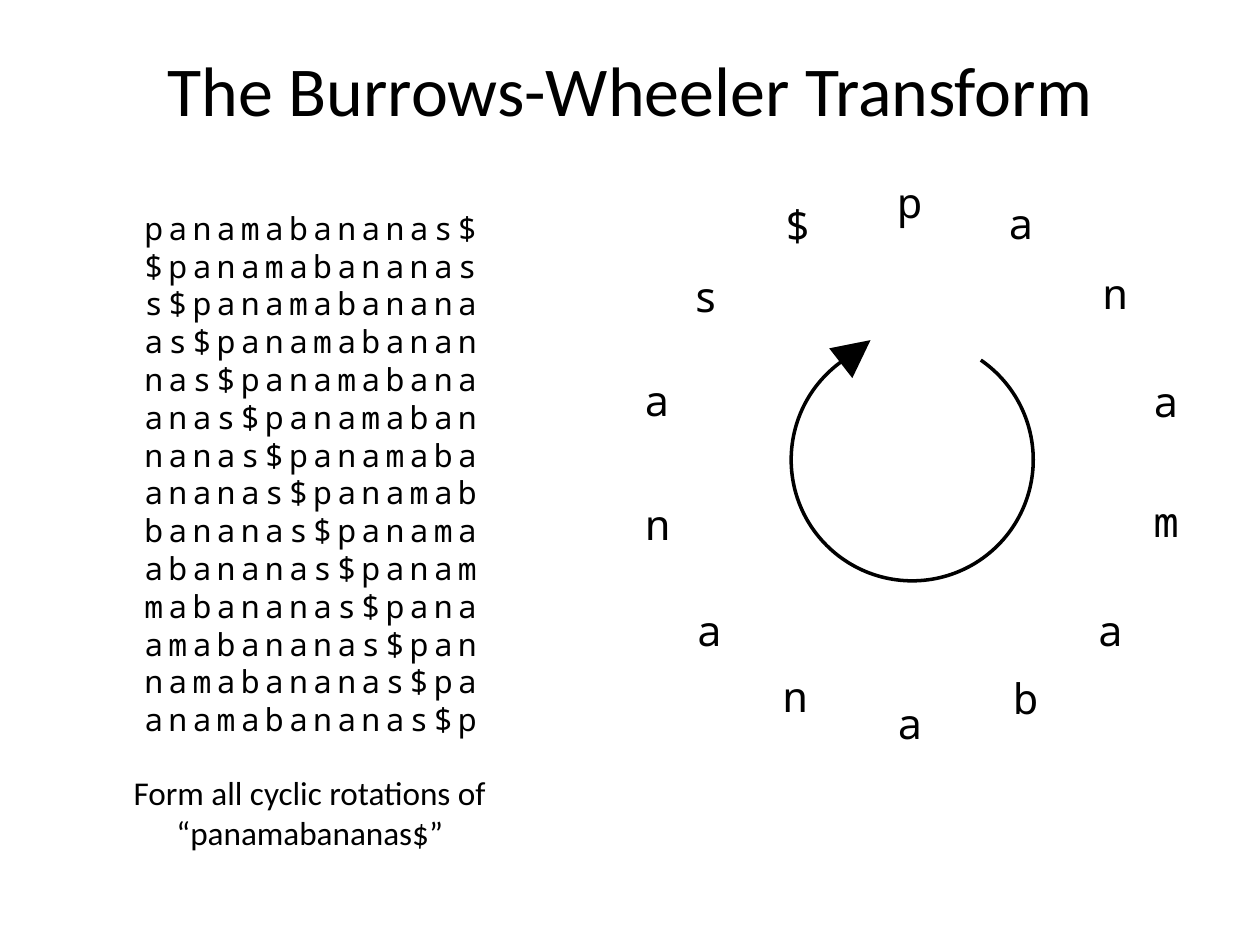
from pptx import Presentation
from pptx.dml.color import RGBColor
from pptx.enum.shapes import MSO_SHAPE
from pptx.enum.text import MSO_ANCHOR, MSO_AUTO_SIZE, PP_ALIGN
from pptx.util import Cm, Pt

COLORS = {"ink": "000000"}
HEADING_FONT, MONO_FONT = "Calibri", "Noto Sans Mono"
WORD = "panamabananas$"

# Left and top of each letter box, clockwise from the first letter
RING = [
    (17.83, 3.43), (20.07, 3.86), (21.97, 5.26), (22.99, 7.44), (23.0, 9.86),
    (21.87, 12.07), (20.17, 13.44), (17.83, 13.94), (15.52, 13.39),
    (13.79, 12.07), (12.75, 9.93), (12.73, 7.42), (13.72, 5.33), (15.57, 3.89),
]


class SlideBuilder:
    def __init__(self, slide):
        self.slide = slide
        self.ink = RGBColor.from_string(COLORS["ink"])

    def text(self, lines, box, font, size, wrap=True, anchor=MSO_ANCHOR.TOP,
             pitch=None, tracking=0):
        """Centred lines; pitch is an exact line height, tracking is in points."""
        frame = self.slide.shapes.add_textbox(*map(Cm, box)).text_frame
        frame.word_wrap = wrap
        frame.auto_size = MSO_AUTO_SIZE.NONE
        frame.vertical_anchor = anchor
        frame.text = "\n".join(lines)
        for paragraph in frame.paragraphs:
            paragraph.alignment = PP_ALIGN.CENTER
            if pitch:
                paragraph.line_spacing = Pt(pitch)
            for run in paragraph.runs:
                run.font.name = font
                run.font.size = Pt(size)
                run.font.color.rgb = self.ink
                if tracking:
                    run._r.get_or_add_rPr().set("spc", str(tracking * 100))
        return frame

    def arc(self, box, start, end):
        """Clockwise arc between two angles in degrees."""
        arc = self.slide.shapes.add_shape(MSO_SHAPE.ARC, *map(Cm, box))
        arc.shadow.inherit = False
        # One degree is 60000 units, and an adjustment of 1 is 100000 units
        arc.adjustments[0] = start * 0.6
        arc.adjustments[1] = end * 0.6
        arc.fill.background()
        arc.line.color.rgb = self.ink
        arc.line.width = Pt(2)

    def triangle(self, box, rotation):
        triangle = self.slide.shapes.add_shape(
            MSO_SHAPE.ISOSCELES_TRIANGLE, *map(Cm, box))
        triangle.shadow.inherit = False
        triangle.rotation = rotation
        triangle.fill.solid()
        triangle.fill.fore_color.rgb = self.ink
        triangle.line.fill.background()


def main():
    presentation = Presentation()
    presentation.slide_width, presentation.slide_height = Cm(25.4), Cm(19.05)
    builder = SlideBuilder(
        presentation.slides.add_slide(presentation.slide_layouts[6]))

    builder.text(["The Burrows-Wheeler Transform"], (1.27, 0.2, 22.86, 3.18),
                 HEADING_FONT, 40, anchor=MSO_ANCHOR.MIDDLE)

    rotations = [WORD[-shift:] + WORD[:-shift] for shift in range(len(WORD))]
    matrix = builder.text(rotations, (2.24, 4.01, 8.05, 11.02), MONO_FONT, 18,
                          pitch=21.6, tracking=3)
    matrix.margin_top = Cm(0.2)

    builder.text(["Form all cyclic rotations of", f"“{WORD}”"],
                 (1.9, 15.44, 8.69, 1.88), HEADING_FONT, 19)

    for letter, corner in zip(WORD, RING):
        builder.text([letter], (*corner, 1.02, 1.27), MONO_FONT, 24, wrap=False)

    builder.arc((15.95, 6.83, 4.88, 4.88), 304.54, 234.11)
    builder.triangle((16.87, 6.71, 0.76, 0.76), 52.1)

    presentation.save("out.pptx")


if __name__ == "__main__":
    main()
